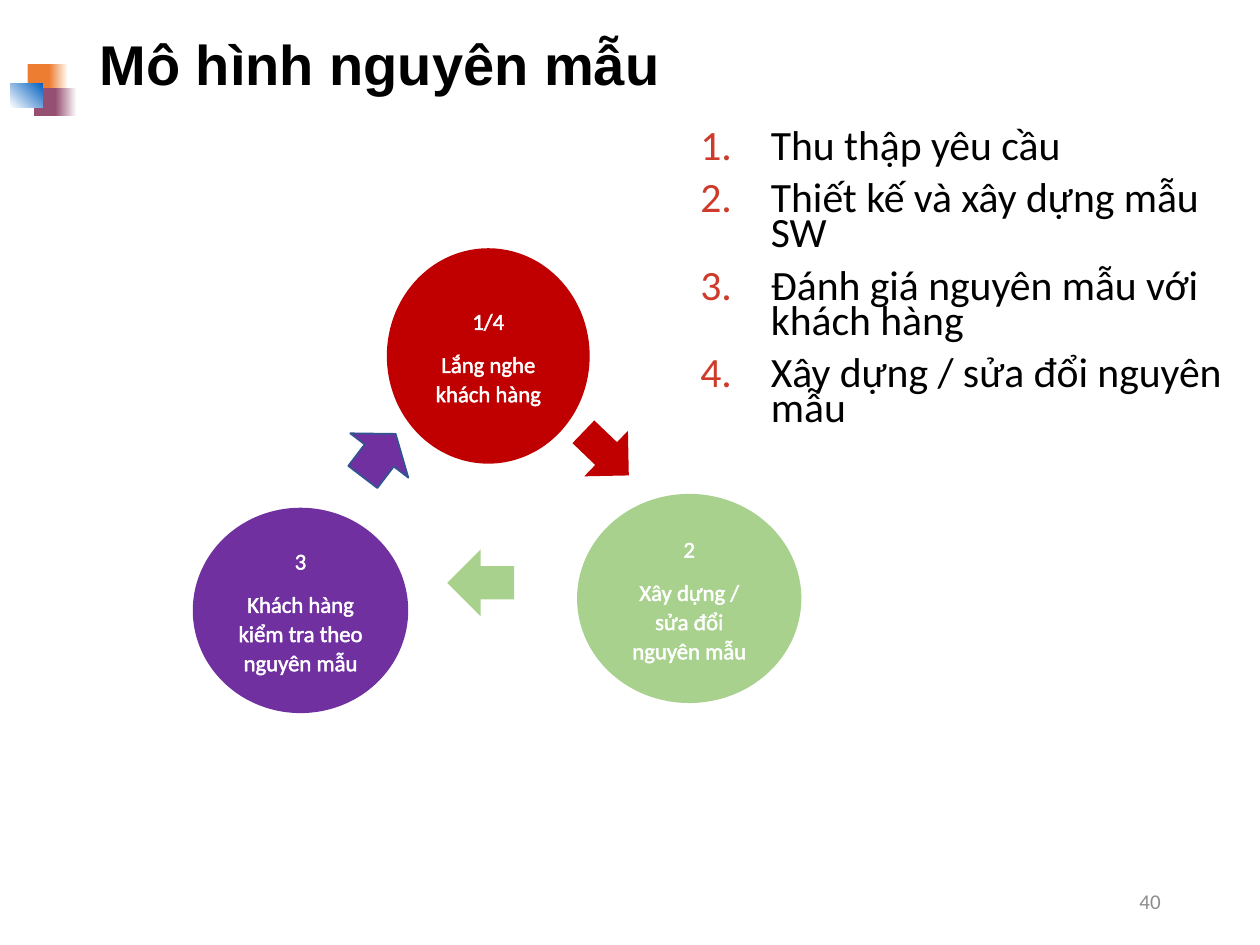
from lxml import etree
from pptx import Presentation
from pptx.dml.color import RGBColor
from pptx.enum.shapes import MSO_SHAPE
from pptx.enum.text import MSO_ANCHOR, PP_ALIGN
from pptx.oxml.ns import qn
from pptx.util import Inches, Pt

RECT = MSO_SHAPE.RECTANGLE
DISC = MSO_SHAPE.FLOWCHART_CONNECTOR
ARROW = MSO_SHAPE.UP_ARROW
MIDDLE, TOP = MSO_ANCHOR.MIDDLE, MSO_ANCHOR.TOP
LEFT, CENTER, RIGHT = PP_ALIGN.LEFT, PP_ALIGN.CENTER, PP_ALIGN.RIGHT

WIDTH, HEIGHT = Inches(10), Inches(7.5)
COLS, ROWS = 100, 75
COLORS = {
    "black": "000000", "white": "FFFFFF", "gray": "8C8C8C",
    "orange": "ED7D31", "plum": "954F72", "blue": "0563C1",
    "red": "C00000", "purple": "7030A0", "green": "A9D18E",
    "edge": "325491", "number": "CE3B2A",
}

LOGO = [
    ((2.2, 5.1, 2, 2.2), ["orange"], 0),
    ((3.9, 5.1, 1.5, 2.2), ["orange", "white"], 0),
    ((2.7, 7, 1.9, 2.2), ["plum"], 0),
    ((4.4, 7, 1.7, 2.2), ["plum", "white"], 0),
    ((0.8, 6.6, 2.6, 1.9), ["white", "blue"], 45),
]
STEPS = [
    "Thu thập yêu cầu",
    "Thiết kế và xây dựng mẫu SW",
    "Đánh giá nguyên mẫu với khách hàng",
    "Xây dựng / sửa đổi nguyên mẫu",
]
STAGES = [
    ((30.7, 19.7, 16.1, 17.1), "red", ["1/4", "Lắng nghe khách hàng"]),
    ((15.3, 40.3, 17.1, 16.3), "purple",
     ["3", "Khách hàng kiểm tra theo nguyên mẫu"]),
    ((45.8, 39.2, 17.8, 16.6), "green",
     ["2", "Xây dựng / sửa đổi nguyên mẫu"]),
]
ARROWS = [
    ((27.2, 34, 5.8, 4.3), "purple", 37.3, "edge"),
    ((35.5, 43.6, 5.3, 5.3), "green", 270, None),
    ((45.6, 33.5, 5, 5), "red", 133.8, None),
]


def color(name):
    return RGBColor.from_string(COLORS[name])


def box(cells):
    x, y, w, h = cells
    return [int(WIDTH * x / COLS), int(HEIGHT * y / ROWS),
            int(WIDTH * w / COLS), int(HEIGHT * h / ROWS)]


def write(frame, lines, size, tone, align=LEFT, anchor=MIDDLE,
          font="Calibri", bold=False):
    frame.word_wrap = True
    frame.vertical_anchor = anchor
    frame.text = "\n".join(lines)
    for para in frame.paragraphs:
        para.alignment = align
        for run in para.runs:
            run.font.name = font
            run.font.size = Pt(size)
            run.font.bold = bold
            run.font.color.rgb = color(tone)


def add_shape(slide, kind, cells, fills, angle=0, edge=None):
    shape = slide.shapes.add_shape(kind, *box(cells))
    shape.shadow.inherit = False
    if len(fills) > 1:
        shape.fill.gradient()
        shape.fill.gradient_angle = angle
        for stop, name in zip(shape.fill.gradient_stops, fills):
            stop.color.rgb = color(name)
    else:
        shape.fill.solid()
        shape.fill.fore_color.rgb = color(fills[0])
    if edge:
        shape.line.color.rgb = color(edge)
        shape.line.width = Pt(1)
    else:
        shape.line.fill.background()
    return shape


def add_text(slide, cells, lines, *style):
    frame = slide.shapes.add_textbox(*box(cells)).text_frame
    write(frame, lines, *style)
    return frame


def add_fill(parent, tag, name):
    fill = etree.SubElement(parent, qn(tag))
    etree.SubElement(fill, qn("a:srgbClr"), val=COLORS[name])


def outline(run, name):
    line = etree.Element(qn("a:ln"), w=str(Pt(0.75)))
    add_fill(line, "a:solidFill", name)
    run.font._element.insert(0, line)


def add_title(slide, text):
    title = slide.shapes.title
    title.left, title.top, title.width, title.height = box((6.9, 1.3, 86.2, 8.1))
    write(title.text_frame, [text], 32, "black", LEFT, MIDDLE, "Arial", True)
    title.text_frame.paragraphs[0].line_spacing = 0.9


def add_list(slide, cells, lines):
    frame = add_text(slide, cells, lines, 23.8, "black", LEFT, TOP)
    indent = Inches(0.56)
    for i, para in enumerate(frame.paragraphs):
        props = para._p.get_or_add_pPr()
        props.set("marL", str(indent))
        props.set("indent", str(-indent))
        add_fill(props, "a:buClr", "number")
        etree.SubElement(props, qn("a:buFont"), typeface="+mj-lt")
        etree.SubElement(props, qn("a:buAutoNum"), type="arabicPeriod")
        para.line_spacing = 0.7
        para.space_before = Pt(10 if i else 0)


def add_stage(slide, cells, fill, lines):
    frame = add_shape(slide, DISC, cells, [fill]).text_frame
    write(frame, lines, 13, "white", CENTER)
    for para in frame.paragraphs:
        para.line_spacing = 1.07
        para.space_after = Pt(8)
        for run in para.runs:
            outline(run, "white")


def main():
    deck = Presentation()
    deck.slide_width, deck.slide_height = WIDTH, HEIGHT
    slide = deck.slides.add_slide(deck.slide_layouts.get_by_name("Title Only"))
    for cells, fills, angle in LOGO:
        add_shape(slide, RECT, cells, fills, angle)
    add_title(slide, "Mô hình nguyên mẫu")
    add_text(slide, (70.6, 69.5, 22.5, 4), ["40"], 12, "gray", RIGHT)
    add_list(slide, (54.6, 10, 44.8, 24.9), STEPS)
    for stage in STAGES:
        add_stage(slide, *stage)
    for cells, fill, turn, edge in ARROWS:
        add_shape(slide, ARROW, cells, [fill], edge=edge).rotation = turn
    deck.save("out.pptx")


if __name__ == "__main__":
    main()
